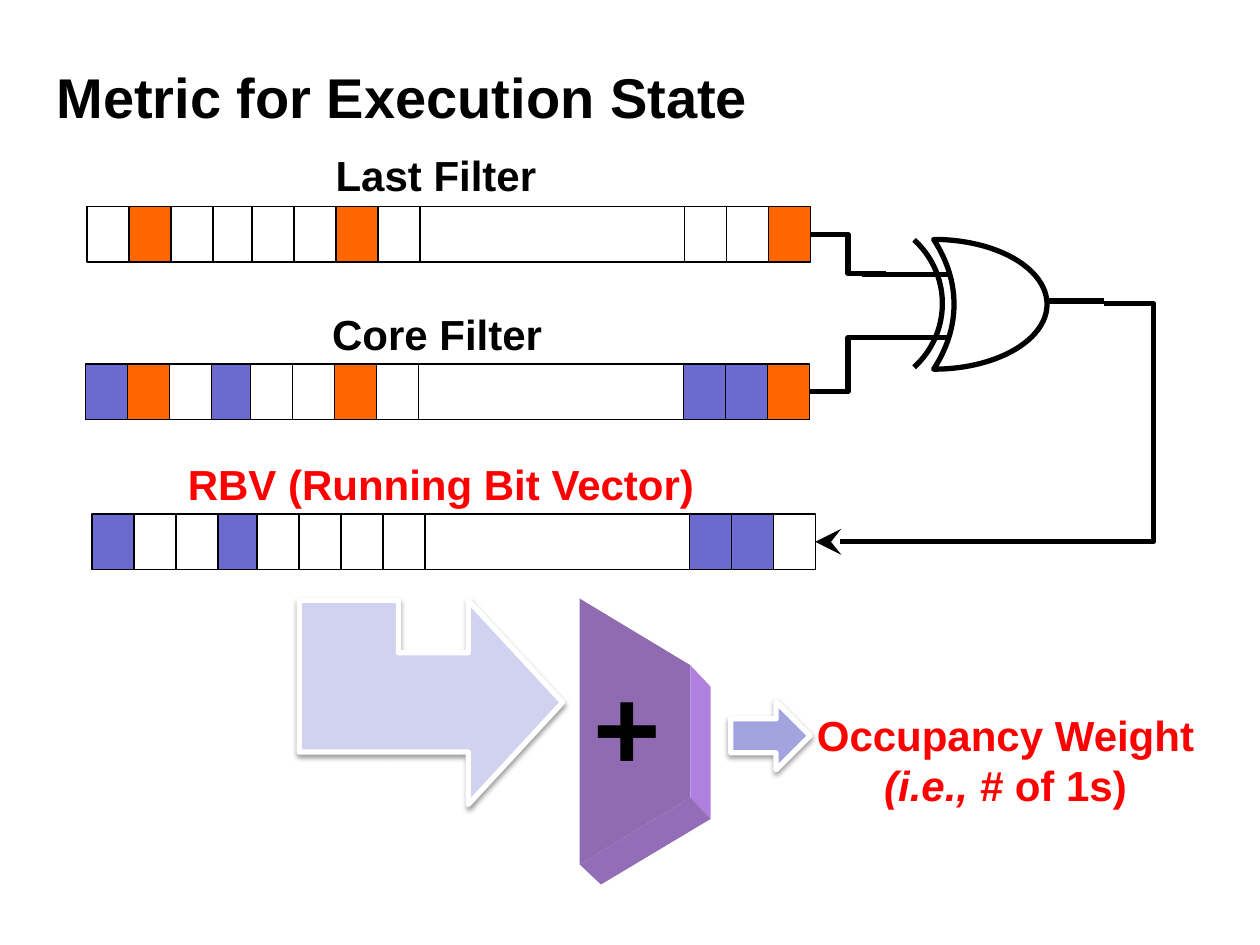
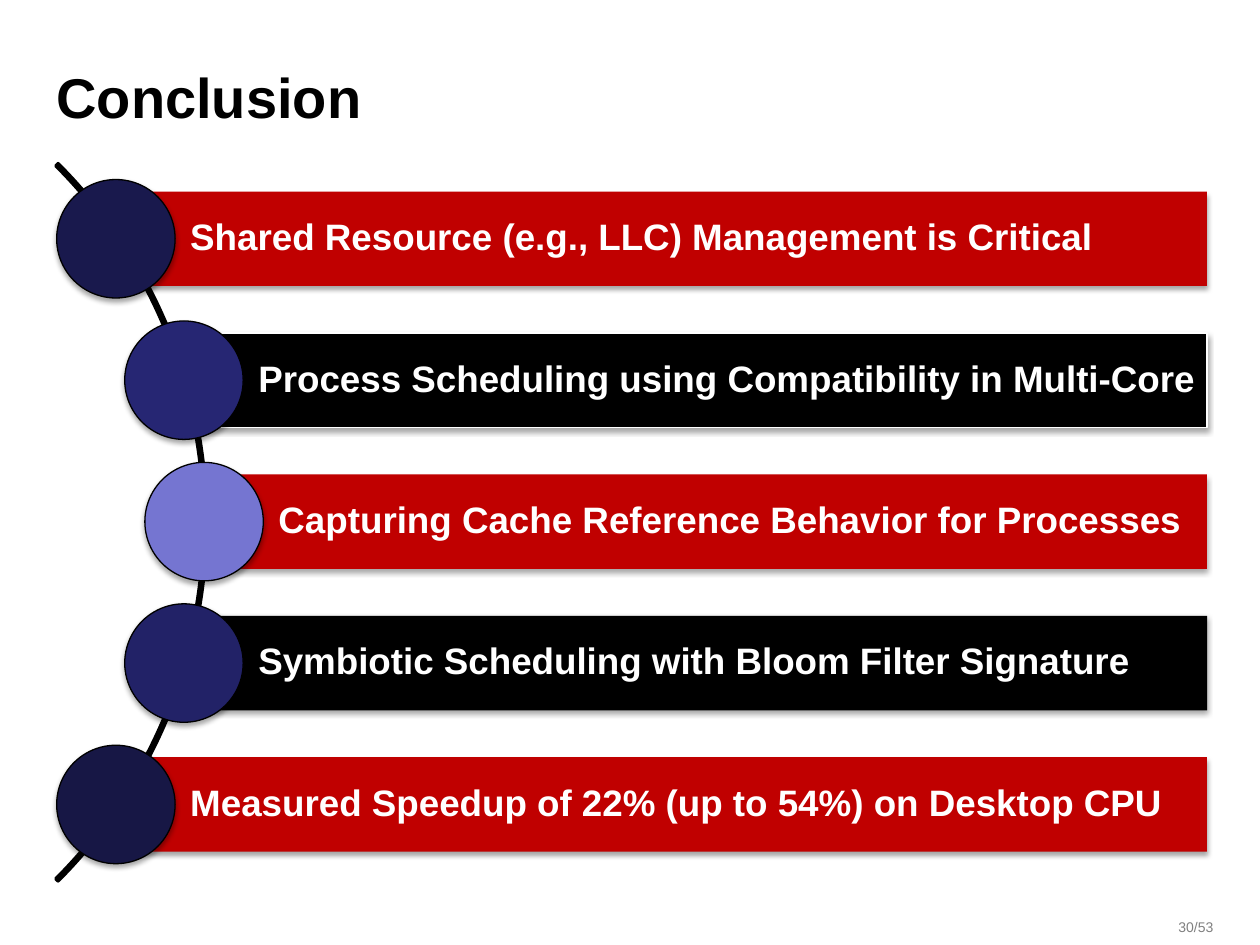
from lxml import etree
from pptx import Presentation
from pptx.dml.color import RGBColor
from pptx.enum.shapes import MSO_CONNECTOR, MSO_SHAPE
from pptx.enum.text import MSO_ANCHOR, PP_ALIGN
from pptx.oxml.ns import qn
from pptx.util import Inches, Pt

RECT, OVAL = MSO_SHAPE.RECTANGLE, MSO_SHAPE.OVAL
STRAIGHT, ELBOW = MSO_CONNECTOR.STRAIGHT, MSO_CONNECTOR.ELBOW
LEFT, CENTER, RIGHT = PP_ALIGN.LEFT, PP_ALIGN.CENTER, PP_ALIGN.RIGHT
TOP, MIDDLE = MSO_ANCHOR.TOP, MSO_ANCHOR.MIDDLE

FONT = "Arial"
COLORS = {
    "black": "000000", "white": "FFFFFF", "red": "FF0000", "gray": "808080",
    "orange": "FF6600", "violet": "6B6BCF", "crimson": "C00000",
    "input": "D1D1F0", "output": "A3A3E0",
    "adder front": "906BB1", "adder side": "B080DE", "adder base": "946DB8",
    "dot 1": "19194D", "dot 2": "262673", "dot 3": "7575D1",
    "dot 4": "222267", "dot 5": "171745",
}
COLORS = {name: RGBColor.from_string(value) for name, value in COLORS.items()}


def paint(shape, fill=None, line=None, weight=0.75, shadow=None):
    """Set fill, outline and an optional drop shadow (opacity %, distance pt)."""
    shape.shadow.inherit = False
    if fill:
        shape.fill.solid()
        shape.fill.fore_color.rgb = COLORS[fill]
    else:
        shape.fill.background()
    if line:
        shape.line.color.rgb = COLORS[line]
        shape.line.width = Pt(weight)
    else:
        shape.line.fill.background()
    if shadow:
        opacity, distance = shadow
        effects = shape._element.spPr.find(qn("a:effectLst"))
        drop = etree.SubElement(effects, qn("a:outerShdw"), blurRad=str(Pt(3.1)),
                                dist=str(Pt(distance)), dir="5400000", rotWithShape="0")
        color = etree.SubElement(drop, qn("a:srgbClr"), val=str(COLORS["black"]))
        etree.SubElement(color, qn("a:alpha"), val=str(opacity * 1000))


def write(shape, text, size, color, align=LEFT, anchor=TOP, bold=True, wrap=True):
    frame = shape.text_frame
    frame.text = text
    frame.word_wrap = wrap
    frame.vertical_anchor = anchor
    for paragraph in frame.paragraphs:
        paragraph.alignment = align
        for run in paragraph.runs:
            run.font.name = FONT
            run.font.size = Pt(size)
            run.font.bold = bold
            run.font.color.rgb = COLORS[color]
    return frame


prs = Presentation()
prs.slide_width, prs.slide_height = Inches(10), Inches(7.5)

# Slides and their titles
slides = []
for title in ("Metric for Execution State", "Conclusion"):
    slide = prs.slides.add_slide(prs.slide_layouts[6])
    title_box = slide.shapes.add_textbox(Inches(0.35), Inches(0.35), Inches(9), Inches(0.83))
    write(title_box, title, 32, "black", anchor=MIDDLE)
    slides.append(slide)
metric, conclusion = (slide.shapes for slide in slides)

# Bit vectors: o = orange, v = violet, . = empty
BIT = 1 / 3
BIT_WIDTHS = [BIT] * 3 + [0.31] + [BIT] * 4 + [2.1] + [BIT] * 3
BIT_FILLS = {"o": "orange", "v": "violet", ".": "white"}
vectors = [
    ("Last Filter", "black", 3.46, 1.14, 0.69, 1.64, ".o....o....o"),
    ("Core Filter", "black", 3.47, 2.4, 0.68, 2.89, "vo.v..o..vvo"),
    ("RBV (Running Bit Vector)", "red", 3.5, 3.59, 0.73, 4.08, "v..v.....vv."),
]
for name, color, center, name_top, left, top, bits in vectors:
    label = metric.add_textbox(Inches(center - 2.2), Inches(name_top), Inches(4.4), Inches(0.5))
    write(label, name, 24, color, CENTER)
    for bit, width in zip(bits, BIT_WIDTHS):
        cell = metric.add_shape(RECT, Inches(left), Inches(top), Inches(width), Inches(0.44))
        paint(cell, BIT_FILLS[bit], "black")
        left += width

# XOR gate: body and the extra input curve
gate_body = metric.add_shape(MSO_SHAPE.MOON, Inches(7.41), Inches(1.9), Inches(0.9), Inches(1.03))
gate_body.rotation = 180
gate_body.adjustments[0] = 0.82
paint(gate_body, line="black", weight=3)
gate_curve = metric.add_shape(MSO_SHAPE.ARC, Inches(6.12), Inches(1.73), Inches(1.36), Inches(1.36))
gate_curve.adjustments[0], gate_curve.adjustments[1] = 187.2, 28.8
paint(gate_curve, line="black", weight=3)

# Wires in and out of the gate; the last one feeds the RBV
wires = [
    (STRAIGHT, 7.54, 2.18, 6.84, 2.18),
    (STRAIGHT, 6.84, 2.68, 7.54, 2.68),
    (STRAIGHT, 8.76, 2.39, 8.31, 2.39),
    (ELBOW, 6.43, 1.86, 7.03, 2.17),
    (ELBOW, 6.43, 3.11, 7.03, 2.68),
    (ELBOW, 8.76, 2.41, 6.47, 4.3),
]
for kind, *ends in wires:
    wire = metric.add_connector(kind, *(Inches(end) for end in ends))
    wire.line.color.rgb = COLORS["black"]
    wire.line.width = Pt(3)
    etree.SubElement(wire._element.spPr, qn("a:effectLst"))
geometry = wire._element.spPr.find(qn("a:prstGeom"))
guides = geometry.find(qn("a:avLst"))
if guides is None:
    guides = etree.SubElement(geometry, qn("a:avLst"))
etree.SubElement(guides, qn("a:gd"), name="adj1", fmla="val -17300")
etree.SubElement(wire.line._get_or_add_ln(), qn("a:tailEnd"), type="stealth", w="lg", len="lg")

# Adder block with its visible depth
adder_faces = [
    ("adder front", [(4.6, 4.75), (5.48, 5.28), (5.48, 6.33), (4.6, 6.86)]),
    ("adder side", [(5.48, 5.28), (5.64, 5.45), (5.64, 6.5), (5.48, 6.33)]),
    ("adder base", [(4.6, 6.86), (5.48, 6.33), (5.64, 6.5), (4.77, 7.02)]),
]
for fill, corners in adder_faces:
    corners = [(Inches(x), Inches(y)) for x, y in corners]
    outline = metric.build_freeform(*corners[0])
    outline.add_line_segments(corners[1:])
    paint(outline.convert_to_shape(), fill)
plus = metric.add_textbox(Inches(4.48), Inches(5.15), Inches(1), Inches(1.2))
write(plus, "+", 66, "black", CENTER, MIDDLE, wrap=False)

# Block arrows into and out of the adder
arrow_in = metric.add_shape(MSO_SHAPE.BENT_UP_ARROW, Inches(2.61), Inches(4.53),
                            Inches(1.62), Inches(2.09))
arrow_in.rotation = 90
for index, value in enumerate((0.486, 0.5, 0.462)):
    arrow_in.adjustments[index] = value
paint(arrow_in, "input", "white", 3, shadow=(38, 1.6))
arrow_out = metric.add_shape(MSO_SHAPE.RIGHT_ARROW, Inches(5.8), Inches(5.57),
                             Inches(0.63), Inches(0.54))
paint(arrow_out, "output", "white", 3, shadow=(38, 1.6))

# Result of the adder
weight_box = metric.add_textbox(Inches(6.37), Inches(5.58), Inches(3.22), Inches(0.91))
weight_frame = write(weight_box, "Occupancy Weight\n(i.e., #", 24, "red", CENTER)
example = weight_frame.paragraphs[1]
example.runs[0].font.italic = True
ones = example.add_run()
ones.text = " of 1s)"
ones.font.name, ones.font.size, ones.font.bold = FONT, Pt(24), True
ones.font.color.rgb = COLORS["red"]

# Page number
page = conclusion.add_textbox(Inches(9.07), Inches(7.24), Inches(0.66), Inches(0.17))
write(page, "30/53", 8, "gray", RIGHT, bold=False)

# Arc that links the conclusions
arc = conclusion.add_shape(MSO_SHAPE.BLOCK_ARC, Inches(-6.41), Inches(0.12),
                           Inches(8.05), Inches(8.05))
for index, value in enumerate((189, 27, 0.003)):
    arc.adjustments[index] = value
paint(arc, line="black", weight=2)

# Conclusion bars, each with a dot centred on its left end
BAR_RIGHT, BAR_HEIGHT, DOT = 9.58, 0.75, 0.94
bars = [
    (0.92, "crimson", None, "Shared Resource (e.g., LLC) Management is Critical"),
    (1.46, "black", "white", "Process Scheduling using Compatibility in Multi-Core"),
    (1.62, "crimson", None, "Capturing Cache Reference Behavior for Processes"),
    (1.46, "black", None, "Symbiotic Scheduling with Bloom Filter Signature"),
    (0.92, "crimson", None, "Measured Speedup of 22% (up to 54%) on Desktop CPU"),
]
for index, (left, fill, line, text) in enumerate(bars):
    top = 1.52 + index * 4.49 / 4
    bar = conclusion.add_shape(RECT, Inches(left), Inches(top),
                               Inches(BAR_RIGHT - left), Inches(BAR_HEIGHT))
    paint(bar, fill, line, shadow=(35, 1.8))
    frame = write(bar, text, 21, "white", anchor=MIDDLE)
    frame.margin_left = Inches(0.59)
    frame.margin_right = frame.margin_top = frame.margin_bottom = Inches(0.06)
    frame.paragraphs[0].line_spacing = 0.9
    dot = conclusion.add_shape(OVAL, Inches(left - DOT / 2),
                               Inches(top + (BAR_HEIGHT - DOT) / 2), Inches(DOT), Inches(DOT))
    paint(dot, f"dot {index + 1}", "black", shadow=(35, 1.8))

prs.save("out.pptx")
